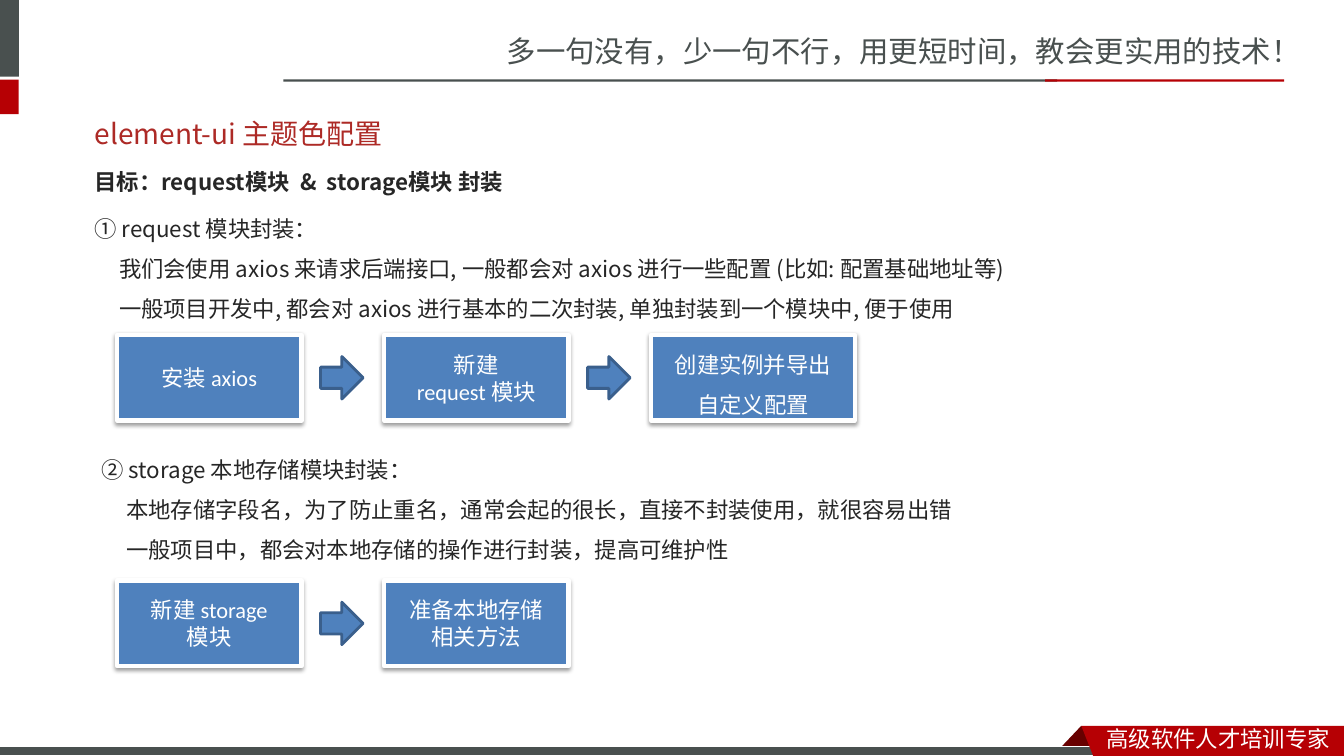
"""Build the slide on wrapping the request and storage modules."""
from dataclasses import dataclass

from lxml import etree
from pptx import Presentation
from pptx.dml.color import RGBColor
from pptx.enum.shapes import MSO_SHAPE
from pptx.enum.text import MSO_ANCHOR, MSO_AUTO_SIZE, PP_ALIGN
from pptx.oxml.ns import qn
from pptx.util import Cm, Pt

RECTANGLE = MSO_SHAPE.RECTANGLE
RIGHT_ARROW = MSO_SHAPE.RIGHT_ARROW
LEFT, CENTER = PP_ALIGN.LEFT, PP_ALIGN.CENTER
TOP, MIDDLE = MSO_ANCHOR.TOP, MSO_ANCHOR.MIDDLE
FIXED_SIZE = MSO_AUTO_SIZE.NONE
TITLE_ONLY = 5


@dataclass(frozen=True)
class Theme:
    """Hold the colours, fonts and type sizes of the slide."""
    gray: str = "49504F"
    red: str = "B60004"
    dark_red: str = "680000"
    title: str = "AD2A26"
    ink: str = "262626"
    white: str = "FFFFFF"
    blue: str = "4F81BD"
    arrow_edge: str = "3A5F8C"
    shadow: str = "000000"
    slogan_font: str = "Noto Sans CJK SC"
    body_font: str = "Noto Sans CJK JP"
    step_font: str = "Calibri"
    slogan_size: int = 21
    title_size: int = 20
    body_size: int = 16


THEME = Theme()
STEP_LEFT, STEP_PITCH, STEP_HEIGHT = 2.95, 6.73, 2.16
ARROW_SIZE, ARROW_LEFT = 1.07, 8.08
SECTIONS = [
    (2.13, 4.95, 8.44,
     ["① request 模块封装：",
      "我们会使用 axios 来请求后端接口, 一般都会对 axios 进行一些配置 (比如: 配置基础地址等)",
      "一般项目开发中, 都会对 axios 进行基本的二次封装, 单独封装到一个模块中, 便于使用"],
     [(["安装 axios"], 4.65, 1), (["新建", "request 模块"], 4.65, 1),
      (["创建实例并导出", "自定义配置"], 5.13, 1.5)]),
    (2.31, 11.02, 14.63,
     ["② storage 本地存储模块封装：",
      "本地存储字段名，为了防止重名，通常会起的很长，直接不封装使用，就很容易出错",
      "一般项目中，都会对本地存储的操作进行封装，提高可维护性"],
     [(["新建 storage", "模块"], 4.65, 1),
      (["准备本地存储", "相关方法"], 4.65, 1)]),
]


def color(value):
    """Turn a hex string into a colour."""
    return RGBColor.from_string(value)


def write(box, lines, font, size, ink, bold=False, align=LEFT, anchor=TOP,
          spacing=1, indent=0):
    """Write lines as paragraphs, indenting all after the first."""
    frame = box.text_frame
    frame.word_wrap = True
    frame.auto_size = FIXED_SIZE
    frame.vertical_anchor = anchor
    for index, line in enumerate(lines):
        para = frame.add_paragraph() if index else frame.paragraphs[0]
        para.alignment = align
        para.line_spacing = spacing
        if index and indent:
            para._p.get_or_add_pPr().set("marL", str(Cm(indent)))
        span = para.add_run()
        span.text = line
        span.font.name = font
        span.font.size = Pt(size)
        span.font.bold = bold
        span.font.color.rgb = color(ink)
        east_asian = etree.SubElement(span._r.get_or_add_rPr(), qn("a:ea"))
        east_asian.set("typeface",
                       THEME.slogan_font if font == THEME.step_font else font)


def add_text(page, left, top, width, height, lines, *style, **options):
    """Add a text box holding the given lines."""
    box = page.shapes.add_textbox(Cm(left), Cm(top), Cm(width), Cm(height))
    write(box, lines, *style, **options)


def paint(shape, fill, edge=None, weight=0):
    """Give a shape a flat fill and an optional outline."""
    shape.shadow.inherit = False
    shape.fill.solid()
    shape.fill.fore_color.rgb = color(fill)
    if edge:
        shape.line.color.rgb = color(edge)
        shape.line.width = Pt(weight)
    else:
        shape.line.fill.background()


def add_block(page, kind, left, top, width, height, *style):
    """Add a painted preset shape."""
    shape = page.shapes.add_shape(kind, Cm(left), Cm(top), Cm(width), Cm(height))
    paint(shape, *style)
    return shape


def add_polygon(page, points, fill):
    """Add a closed outline through points given in centimetres."""
    corners = [(Cm(x), Cm(y)) for x, y in points]
    builder = page.shapes.build_freeform(*corners[0])
    builder.add_line_segments(corners[1:], close=True)
    paint(builder.convert_to_shape(), fill)


def add_drop_shadow(shape):
    """Cast a soft shadow straight down."""
    effects = shape._element.spPr.find(qn("a:effectLst"))
    shadow = etree.SubElement(
        effects, qn("a:outerShdw"), blurRad=str(Pt(3.1)), dist=str(Pt(1.6)),
        dir="5400000", rotWithShape="0")
    tint = etree.SubElement(shadow, qn("a:srgbClr"), val=THEME.shadow)
    etree.SubElement(tint, qn("a:alpha"), val="38000")


def add_flow(page, top, steps):
    """Add a row of step boxes with an arrow between neighbours."""
    for index, (lines, width, spacing) in enumerate(steps):
        offset = index * STEP_PITCH
        step = add_block(page, RECTANGLE, STEP_LEFT + offset, top, width,
                         STEP_HEIGHT, THEME.blue, THEME.white, 3)
        add_drop_shadow(step)
        write(step, lines, THEME.step_font, THEME.body_size, THEME.white,
              align=CENTER, anchor=MIDDLE, spacing=spacing)
        if index < len(steps) - 1:
            add_block(page, RIGHT_ARROW, ARROW_LEFT + offset,
                      top + (STEP_HEIGHT - ARROW_SIZE) / 2, ARROW_SIZE,
                      ARROW_SIZE, THEME.blue, THEME.arrow_edge, 2)


def add_frame(page):
    """Add the header and footer decoration with their slogans."""
    add_text(page, 12.52, 0.71, 21.34, 1.19,
             ["多一句没有，少一句不行，用更短时间，教会更实用的技术！"],
             THEME.slogan_font, THEME.slogan_size, THEME.gray)
    add_block(page, RECTANGLE, 0, 0, 0.48, 1.93, THEME.gray)
    add_block(page, RECTANGLE, 0, 2.01, 0.47, 0.87, THEME.red)
    add_block(page, RECTANGLE, 7.14, 2, 19.5, 0.06, THEME.gray)
    add_block(page, RECTANGLE, 26.34, 2, 6.02, 0.06, THEME.red)
    add_polygon(page, [(27.25, 18.29), (27.81, 18.87), (26.7, 18.87)],
                THEME.dark_red)
    add_block(page, RECTANGLE, 0, 18.82, 27.91, 0.23, THEME.gray,
              THEME.white, 0.75)
    add_polygon(page, [(27.25, 18.29), (33.87, 18.29), (33.87, 19.05),
                       (27.55, 19.05)], THEME.red)
    add_text(page, 27.64, 18.16, 6.22, 0.89, ["高级软件人才培训专家"],
             THEME.slogan_font, THEME.body_size, THEME.white)


def set_title(page):
    """Place and write the slide title."""
    title = page.shapes.title
    title.left, title.top = Cm(2.13), Cm(2.64)
    title.width, title.height = Cm(10.67), Cm(1.45)
    write(title, ["element-ui 主题色配置"], THEME.body_font, THEME.title_size,
          THEME.title, anchor=MIDDLE)


def main():
    """Build and save the deck."""
    deck = Presentation()
    deck.slide_width, deck.slide_height = Cm(33.87), Cm(19.05)
    page = deck.slides.add_slide(deck.slide_layouts[TITLE_ONLY])
    add_frame(page)
    set_title(page)
    add_text(page, 2.13, 3.78, 12.01, 1.45,
             ["目标：request模块  &  storage模块 封装"],
             THEME.body_font, THEME.body_size, THEME.ink, bold=True, spacing=1.5)
    for left, top, flow_top, lines, steps in SECTIONS:
        add_text(page, left, top, 27.15, 3.23, lines, THEME.body_font,
                 THEME.body_size, THEME.ink, spacing=1.5, indent=0.62)
        add_flow(page, flow_top, steps)
    deck.save("out.pptx")


if __name__ == "__main__":
    main()
